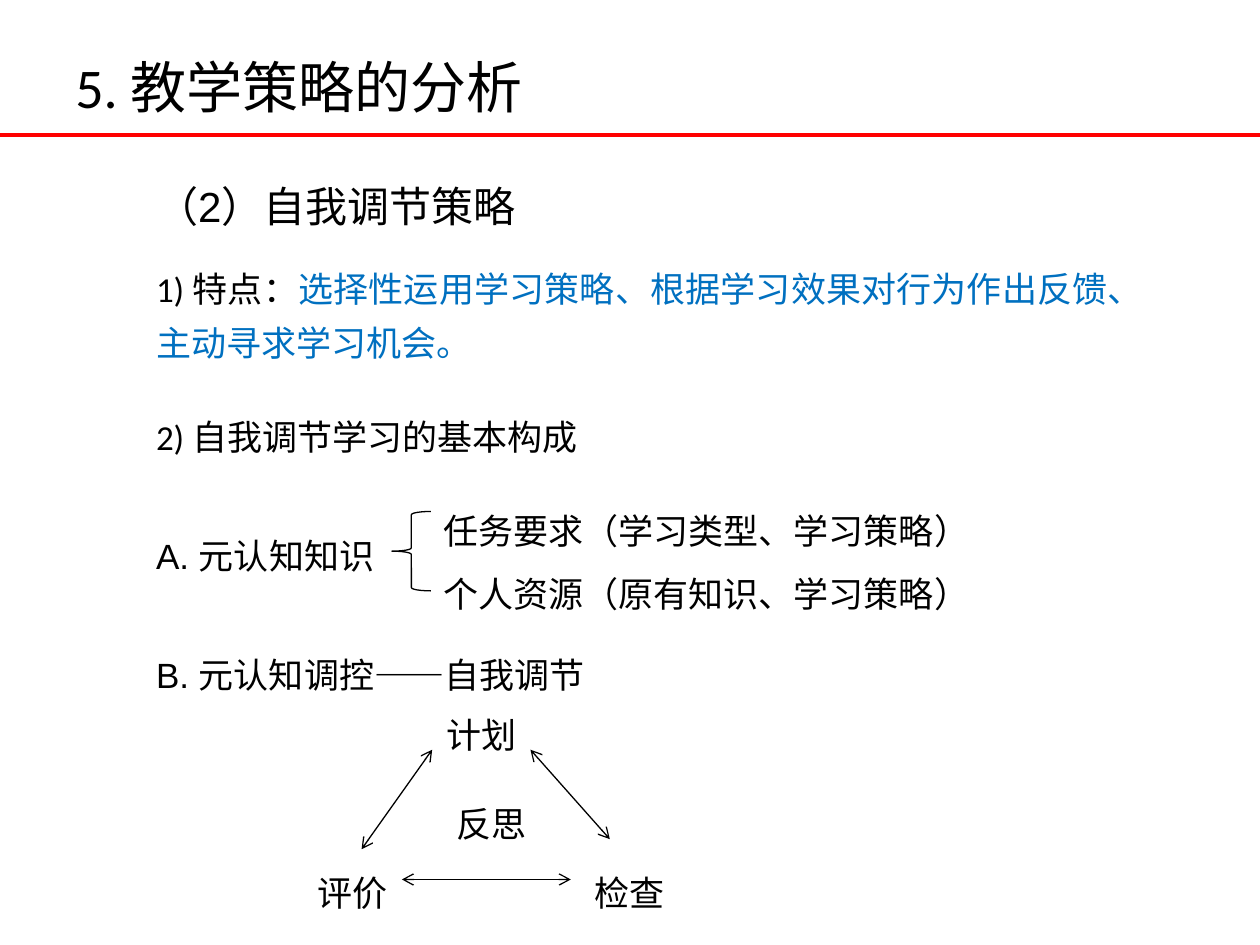
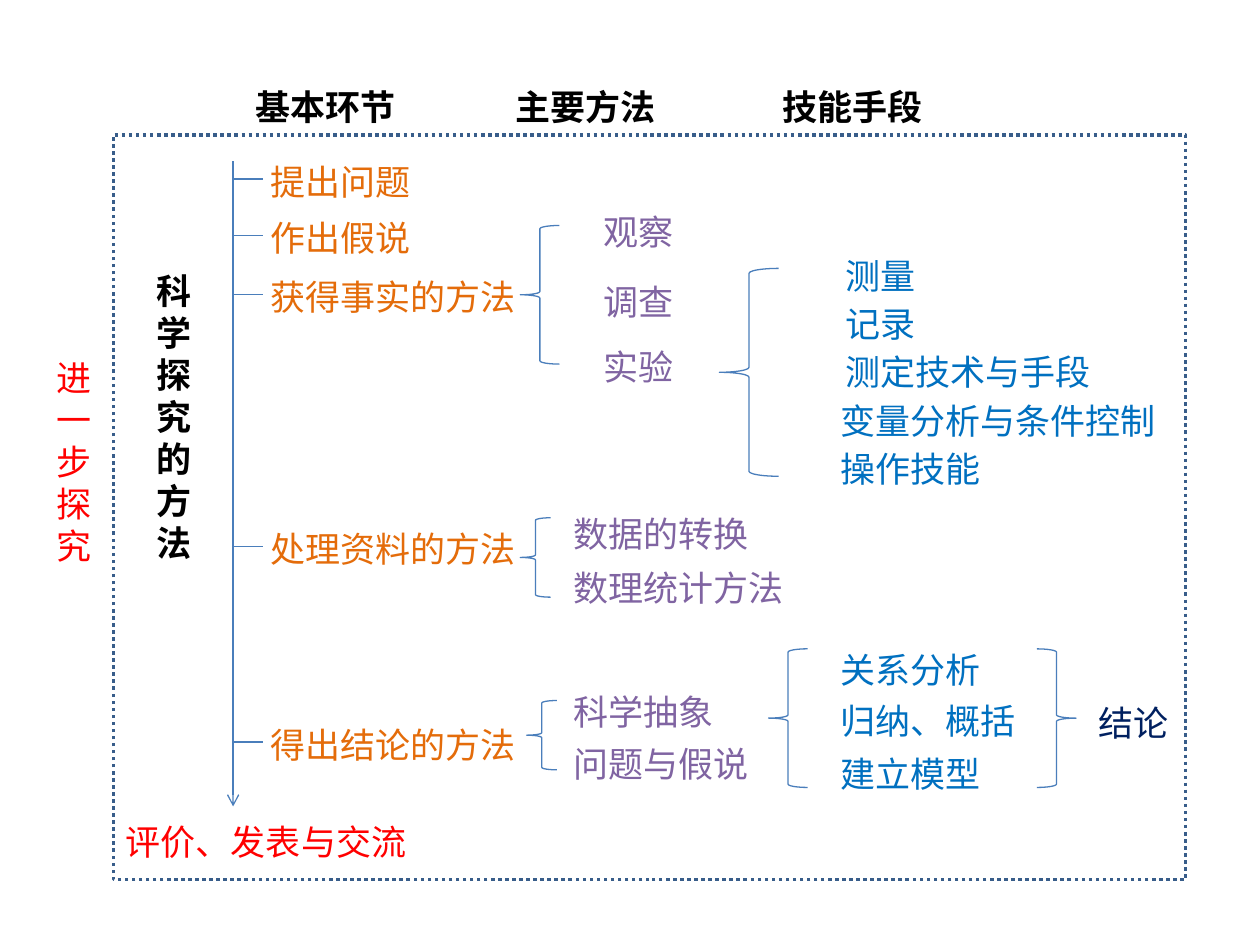
from dataclasses import dataclass

from lxml import etree
from pptx import Presentation
from pptx.dml.color import RGBColor
from pptx.enum.dml import MSO_LINE
from pptx.enum.shapes import MSO_CONNECTOR, MSO_SHAPE
from pptx.enum.text import MSO_ANCHOR, PP_ALIGN
from pptx.oxml.ns import qn
from pptx.util import Inches, Pt

STRAIGHT = MSO_CONNECTOR.STRAIGHT
LEFT_BRACE, RIGHT_BRACE = MSO_SHAPE.LEFT_BRACE, MSO_SHAPE.RIGHT_BRACE
RECTANGLE = MSO_SHAPE.RECTANGLE
ROUND_DOT = MSO_LINE.ROUND_DOT
TOP, MIDDLE = MSO_ANCHOR.TOP, MSO_ANCHOR.MIDDLE
LEFT, CENTER, JUSTIFY = PP_ALIGN.LEFT, PP_ALIGN.CENTER, PP_ALIGN.JUSTIFY


@dataclass(frozen=True)
class Theme:
    black: str = "000000"
    red: str = "FF0000"
    blue: str = "0070C0"
    navy: str = "002060"
    orange: str = "E46C0A"
    purple: str = "8064A2"
    branch: str = "4A7EBB"
    frame: str = "385D8A"
    title_size: int = 32
    heading_size: int = 24
    body_size: int = 20
    thin: float = 0.75
    chinese_font: str = "Noto Sans CJK SC"
    title_font: str = "Calibri"
    body_font: str = "Arial"
    line_height: float = 1.2
    loose: float = 1.3


THEME = Theme()


def style_paragraph(paragraph, size, font, color, bold):
    paragraph.font.size = Pt(size)
    paragraph.font.bold = bold
    paragraph.font.color.rgb = RGBColor.from_string(color)
    paragraph.font.name = font
    properties = paragraph._p.pPr.find(qn("a:defRPr"))
    east_asian = etree.SubElement(properties, qn("a:ea"))
    east_asian.set("typeface", THEME.chinese_font)


def add_text(slide, box, paragraphs, color=THEME.black, size=THEME.body_size,
             font=THEME.chinese_font, bold=False, align=LEFT, spacing=1.0, anchor=TOP):
    """Each paragraph is a string, or a list of (text, colour) runs; spacing None is natural."""
    text_box = slide.shapes.add_textbox(*map(Inches, box))
    frame = text_box.text_frame
    frame.word_wrap = True
    frame.vertical_anchor = anchor
    if spacing:
        frame.margin_top = Inches(0.08)
    for index, content in enumerate(paragraphs):
        paragraph = frame.add_paragraph() if index else frame.paragraphs[0]
        paragraph.alignment = align
        if spacing:
            paragraph.line_spacing = Pt(round(size * THEME.line_height * spacing, 1))
        if index:
            paragraph.space_before = Pt(5)
        style_paragraph(paragraph, size, font, color, bold)
        runs = [(content, None)] if isinstance(content, str) else content
        for text, run_color in runs:
            run = paragraph.add_run()
            run.text = text
            if run_color:
                run.font.color.rgb = RGBColor.from_string(run_color)


def add_loose_text(slide, box, paragraphs, font=THEME.body_font, align=JUSTIFY,
                   size=THEME.body_size):
    add_text(slide, box, paragraphs, size=size, font=font, align=align, spacing=THEME.loose)


def add_line(slide, start, end, color, width=THEME.thin, arrows=()):
    """Arrows names the ends that carry an arrowhead: headEnd, tailEnd."""
    connector = slide.shapes.add_connector(STRAIGHT, *map(Inches, (*start, *end)))
    connector.line.color.rgb = RGBColor.from_string(color)
    connector.line.width = Pt(width)
    line = connector.line._get_or_add_ln()
    for arrow in arrows:
        etree.SubElement(line, qn(f"a:{arrow}")).set("type", "arrow")
    etree.SubElement(connector._element.spPr, qn("a:effectLst"))


def add_outline(slide, kind, box, color, width=THEME.thin):
    shape = slide.shapes.add_shape(kind, *map(Inches, box))
    shape.shadow.inherit = False
    shape.fill.background()
    shape.line.color.rgb = RGBColor.from_string(color)
    shape.line.width = Pt(width)
    return shape


def add_title(slide, text):
    add_line(slide, (0, 1.07), (10, 1.07), THEME.red, 2.25)
    add_text(slide, (0.5, 0.06, 9, 1.25), [text], size=THEME.title_size,
             font=THEME.title_font, spacing=None, anchor=MIDDLE)


def add_labels(slide, labels, color, width=2.36):
    for left, top, text in labels:
        add_text(slide, (left, top, width, 0.44), [text], color)


def build_self_regulation(slide):
    add_title(slide, "5. 教学策略的分析")
    left = 1.14
    add_loose_text(slide, (left, 1.23, 7.8, 0.71), ["（2）自我调节策略"],
                   size=THEME.heading_size)
    feature = [("1) 特点：", None),
               ("选择性运用学习策略、根据学习效果对行为作出反馈、主动寻求学习机会。", THEME.blue)]
    add_loose_text(slide, (left, 1.94, 8.03, 1.18), [feature], THEME.title_font)
    add_loose_text(slide, (left, 3.12, 7.8, 0.71), ["2) 自我调节学习的基本构成"],
                   THEME.title_font)
    add_loose_text(slide, (left, 4.06, 3.31, 0.71), ["A. 元认知知识"])
    add_loose_text(slide, (left, 5.01, 5.04, 0.71), ["B. 元认知调控——自我调节"])
    add_loose_text(slide, (3.42, 3.86, 4.73, 1.18),
                   ["任务要求（学习类型、学习策略）", "个人资源（原有知识、学习策略）"])
    add_outline(slide, LEFT_BRACE, (3.11, 4.06, 0.31, 0.63), THEME.black)

    cycle = [("计划", 3.11, 5.48), ("反思", 3.19, 6.19), ("评价", 2.09, 6.74), ("检查", 4.29, 6.74)]
    for step, step_left, top in cycle:
        add_loose_text(slide, (step_left, top, 1.42, 0.71), [step], align=CENTER)
    for start, end in [((3.43, 5.95), (2.87, 6.74)), ((3.19, 6.98), (4.53, 6.98)),
                       ((4.21, 5.95), (4.84, 6.66))]:
        add_line(slide, start, end, THEME.black, arrows=("headEnd", "tailEnd"))


def build_inquiry_methods(slide):
    for left, heading in [(1.93, "基本环节"), (3.99, "主要方法"), (6.11, "技能手段")]:
        add_text(slide, (left, 0.6, 1.6, 0.44), [heading], bold=True)
    add_text(slide, (0.35, 2.75, 0.47, 1.77), ["进一步探究"], THEME.red)
    add_text(slide, (1.14, 2.06, 0.47, 2.44), ["科学探究的方法"], bold=True)

    axis, stage_left = 1.85, 2.05
    stages = [(1.19, "提出问题"), (1.64, "作出假说"), (2.11, "获得事实的方法"),
              (4.11, "处理资料的方法"), (5.66, "得出结论的方法")]
    add_labels(slide, [(stage_left, *stage) for stage in stages], THEME.orange)
    add_line(slide, (axis, 1.28), (axis, 6.4), THEME.branch, arrows=("tailEnd",))
    for top, _ in stages:
        tick = top + 0.23
        add_line(slide, (axis, tick), (axis + 0.24, tick), THEME.branch)

    add_labels(slide, [(4.69, 1.59, "观察"), (4.69, 2.15, "调查"), (4.69, 2.66, "实验"),
                       (4.45, 3.99, "数据的转换"), (4.45, 4.42, "数理统计方法"),
                       (4.45, 5.4, "科学抽象"), (4.45, 5.81, "问题与假说")], THEME.purple)
    add_labels(slide, [(6.61, 1.94, "测量"), (6.61, 2.32, "记录"), (6.61, 2.7, "测定技术与手段"),
                       (6.57, 3.09, "变量分析与条件控制"), (6.57, 3.47, "操作技能"),
                       (6.57, 5.07, "关系分析"), (6.57, 5.47, "归纳、概括"),
                       (6.57, 5.89, "建立模型")], THEME.blue, 3.07)
    add_labels(slide, [(0.9, 6.43, "评价、发表与交流")], THEME.red, 3.7)
    add_labels(slide, [(8.62, 5.49, "结论")], THEME.navy, 1.38)

    for box in [(4.13, 1.79, 0.31, 1.1), (4.13, 4.11, 0.24, 0.63), (4.18, 5.56, 0.24, 0.55),
                (5.71, 2.13, 0.47, 1.65), (6.1, 5.15, 0.31, 1.1)]:
        add_outline(slide, LEFT_BRACE, box, THEME.branch)
    add_outline(slide, RIGHT_BRACE, (8.23, 5.15, 0.31, 1.1), THEME.branch)
    border = add_outline(slide, RECTANGLE, (0.9, 1.07, 8.51, 5.91), THEME.frame, 2)
    border.line.dash_style = ROUND_DOT


def main():
    presentation = Presentation()
    presentation.slide_width, presentation.slide_height = Inches(10), Inches(7.5)
    blank = presentation.slide_layouts[6]
    for build in (build_self_regulation, build_inquiry_methods):
        build(presentation.slides.add_slide(blank))
    presentation.save("out.pptx")


if __name__ == "__main__":
    main()
